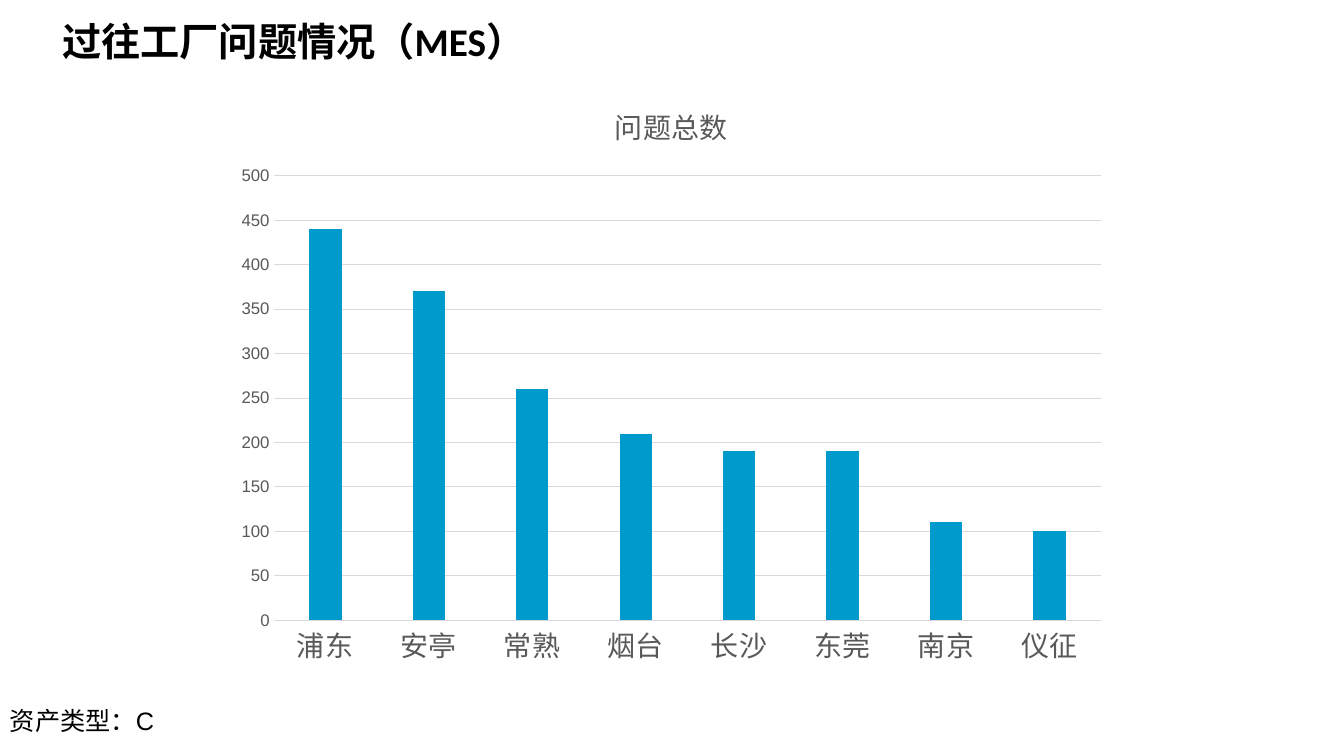
from dataclasses import dataclass
from pptx import Presentation
from pptx.chart.data import CategoryChartData
from pptx.dml.color import RGBColor
from pptx.enum.chart import XL_CHART_TYPE, XL_TICK_MARK
from pptx.util import Pt


@dataclass(frozen=True)
class Theme:
    ink: RGBColor = RGBColor.from_string("000000")
    muted: RGBColor = RGBColor.from_string("595959")
    grid: RGBColor = RGBColor.from_string("D9D9D9")
    bar: RGBColor = RGBColor.from_string("009BCC")
    latin: str = "Arial"
    heading: str = "Calibri"
    cjk: str = "Noto Sans CJK SC"
    title_size: int = 28
    note_size: int = 18
    label_size: int = 20
    value_size: int = 12
    chart_size: int = 10


T = Theme()
PX = 9525


def set_font(font, name, size, color, bold=False):
    font.name = name
    font.size = Pt(size)
    font.color.rgb = color
    font.bold = bold


prs = Presentation()
prs.slide_width, prs.slide_height = 1280 * PX, 720 * PX
s = prs.slides.add_slide(prs.slide_layouts[6])

texts = [
    ("过往工厂问题情况（MES）", (50, 12, 958, 55), T.heading, T.title_size, True),
    ("资产类型：C", (0, 667, 299, 38), T.latin, T.note_size, False),
]
for text, box, name, size, bold in texts:
    tf = s.shapes.add_textbox(*(v * PX for v in box)).text_frame
    tf.word_wrap = True
    r = tf.paragraphs[0].add_run()
    r.text = text
    set_font(r.font, name, size, T.ink, bold)

data = CategoryChartData()
data.categories = ["浦东", "安亭", "常熟", "烟台", "长沙", "东莞", "南京", "仪征"]
data.add_series("问题总数", [440, 370, 260, 210, 190, 190, 110, 100])
box = (213, 76, 853, 569)
chart = s.shapes.add_chart(
    XL_CHART_TYPE.COLUMN_CLUSTERED, *(v * PX for v in box), data
).chart
set_font(chart.font, T.latin, T.chart_size, T.ink)
chart.has_legend = False
chart.has_title = True
r = chart.chart_title.text_frame.paragraphs[0].add_run()
r.text = "问题总数"
set_font(r.font, T.cjk, T.label_size, T.muted)

plot = chart.plots[0]
plot.vary_by_categories = False
plot.gap_width = 219
plot.overlap = -27
bars = plot.series[0]
bars.format.fill.solid()
bars.format.fill.fore_color.rgb = T.bar

cat, val = chart.category_axis, chart.value_axis
for axis, name, size in ((cat, T.cjk, T.label_size), (val, T.latin, T.value_size)):
    axis.major_tick_mark = axis.minor_tick_mark = XL_TICK_MARK.NONE
    set_font(axis.tick_labels.font, name, size, T.muted)
val.minimum_scale, val.maximum_scale, val.major_unit = 0, 500, 50
val.format.line.fill.background()
val.has_major_gridlines = True
for line in (cat.format.line, val.major_gridlines.format.line):
    line.color.rgb = T.grid
    line.width = Pt(0.75)

prs.save("out.pptx")
